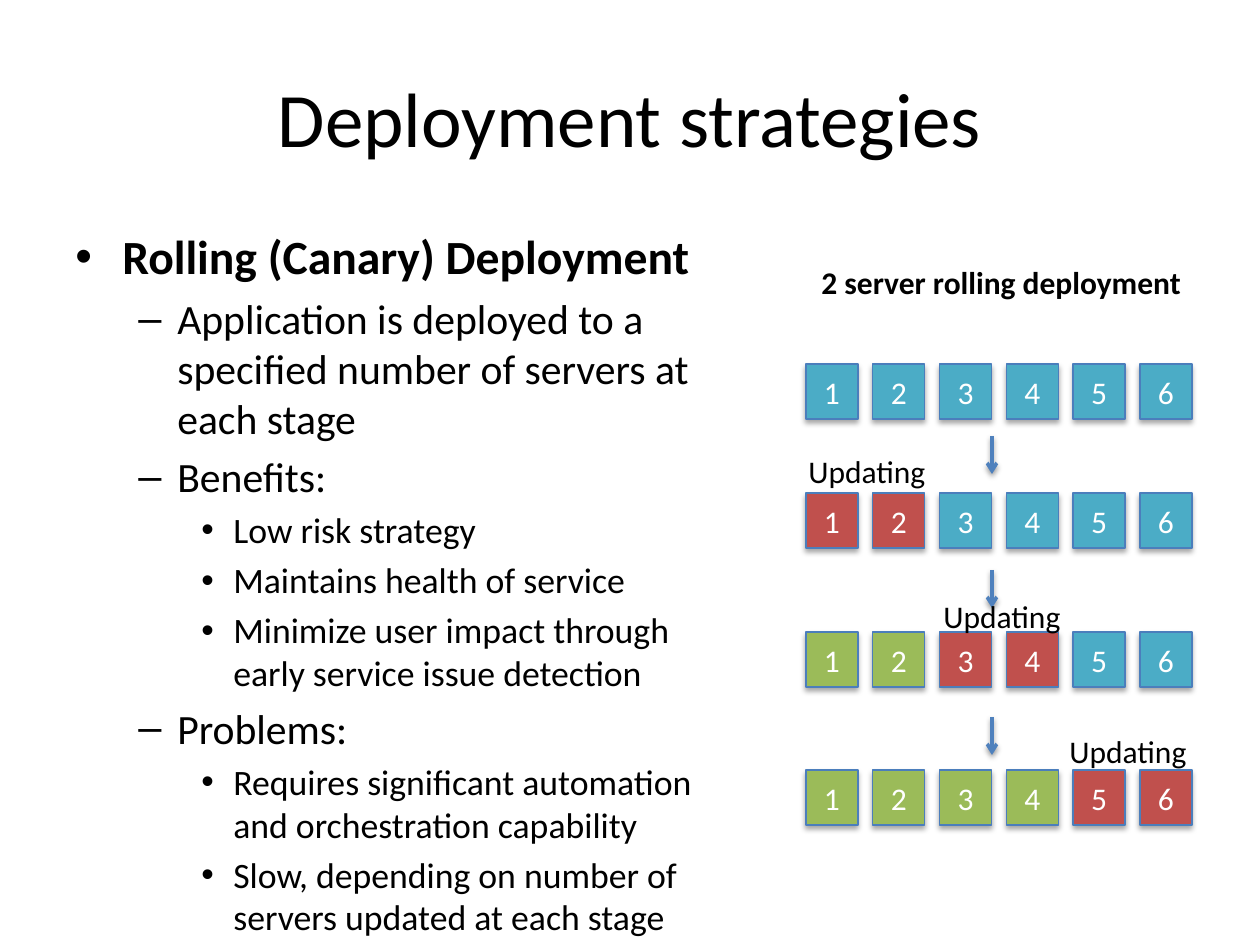
from lxml import etree
from pptx import Presentation
from pptx.dml.color import RGBColor
from pptx.enum.shapes import MSO_CONNECTOR, MSO_SHAPE
from pptx.enum.text import MSO_ANCHOR, PP_ALIGN
from pptx.oxml.ns import qn
from pptx.util import Pt

RECTANGLE = MSO_SHAPE.RECTANGLE
STRAIGHT = MSO_CONNECTOR.STRAIGHT
TOP, MIDDLE = MSO_ANCHOR.TOP, MSO_ANCHOR.MIDDLE
LEFT, CENTER = PP_ALIGN.LEFT, PP_ALIGN.CENTER

PX = 914400 / 126
FONT = "Calibri"
COLORS = {
    "text": "000000",
    "server_text": "FFFFFF",
    "old": "4BACC6",
    "updating": "C0504D",
    "new": "9BBB59",
    "border": "4B7EBC",
    "arrow": "4F81BD",
}

TITLE = "Deployment strategies"
HEADING = "2 server rolling deployment"
BULLETS = [
    (0, "Rolling (Canary) Deployment"),
    (1, "Application is deployed to a specified number of servers at each stage"),
    (1, "Benefits:"),
    (2, "Low risk strategy"),
    (2, "Maintains health of service"),
    (2, "Minimize user impact through early service issue detection"),
    (1, "Problems:"),
    (2, "Requires significant automation and orchestration capability"),
    (2, "Slow, depending on number of servers updated at each stage"),
]
LEVELS = [
    {"size": 27.2, "bold": True, "mark": "•", "margin": 47, "hang": 47},
    {"size": 23.8, "bold": False, "mark": "–", "margin": 102, "hang": 39},
    {"size": 20.4, "bold": False, "mark": "•", "margin": 158, "hang": 32},
]

SERVERS, BATCH = 6, 2
SERVER_LEFT, SERVER_PITCH = 806, 66.8
SERVER_WIDTH, SERVER_HEIGHT = 52, 55
STAGE_TOPS = [364, 493, 632, 770]
ARROW_X, ARROW_LENGTH = 992, 38
ARROW_TOPS = [436, 570, 717]
UPDATING_LABELS = [(796, 446), (931, 591), (1057, 726)]


def emu(*lengths):
    return [round(length * PX) for length in lengths]


def color(name):
    return RGBColor.from_string(COLORS[name])


def add_child(parent, tag, **values):
    child = etree.SubElement(parent, qn(tag))
    for name, value in values.items():
        child.set(name, str(value))
    return child


def add_shadow(effects, distance, alpha):
    shadow = add_child(effects, "a:outerShdw", blurRad=Pt(3.1), dist=Pt(distance),
                       dir=5400000, rotWithShape=0)
    black = add_child(shadow, "a:srgbClr", val="000000")
    add_child(black, "a:alpha", val=alpha * 1000)


def write(para, text, size, bold=False, name="text", align=LEFT):
    para.alignment = align
    span = para.add_run()
    span.text = text
    formats = {"name": FONT, "size": Pt(size), "bold": bold}
    for attribute, value in formats.items():
        setattr(span.font, attribute, value)
    span.font.color.rgb = color(name)


def add_text_box(page, bounds, wrap, anchor=TOP):
    frame = page.shapes.add_textbox(*emu(*bounds)).text_frame
    frame.word_wrap = wrap
    frame.vertical_anchor = anchor
    return frame


def add_bullets(page):
    frame = add_text_box(page, (63, 221, 696, 663), True)
    for index, (level, text) in enumerate(BULLETS):
        para = frame.add_paragraph() if index else frame.paragraphs[0]
        style = LEVELS[level]
        write(para, text, style["size"], style["bold"])
        para.level = level
        para.space_before = Pt(round(style["size"] * 0.2, 1))
        margin, hang = emu(style["margin"], style["hang"])
        properties = para._p.get_or_add_pPr()
        properties.set("marL", str(margin))
        properties.set("indent", str(-hang))
        add_child(properties, "a:buFont", typeface="Arial")
        add_child(properties, "a:buChar", char=style["mark"])


def add_server(page, stage, index):
    left = SERVER_LEFT + index * SERVER_PITCH
    box = page.shapes.add_shape(
        RECTANGLE, *emu(left, STAGE_TOPS[stage], SERVER_WIDTH, SERVER_HEIGHT))
    batch = index // BATCH + 1
    state = "new" if batch < stage else "updating" if batch == stage else "old"
    box.fill.solid()
    box.fill.fore_color.rgb = color(state)
    box.line.color.rgb = color("border")
    box.line.width = Pt(0.75)
    box.shadow.inherit = False
    add_shadow(box._element.spPr.find(qn("a:effectLst")), 1.8, 35)
    box.text_frame.vertical_anchor = MIDDLE
    write(box.text_frame.paragraphs[0], str(index + 1), 18,
          name="server_text", align=CENTER)


def add_arrow(page, top):
    arrow = page.shapes.add_connector(
        STRAIGHT, *emu(ARROW_X, top, ARROW_X, top + ARROW_LENGTH))
    arrow.line.color.rgb = color("arrow")
    arrow.line.width = Pt(2)
    properties = arrow._element.spPr
    add_child(properties.find(qn("a:ln")), "a:tailEnd", type="arrow")
    add_shadow(add_child(properties, "a:effectLst"), 1.6, 38)


def main():
    deck = Presentation()
    deck.slide_width, deck.slide_height = emu(1260, 945)
    page = deck.slides.add_slide(deck.slide_layouts[6])

    title = add_text_box(page, (63, 38, 1134, 158), True, MIDDLE)
    write(title.paragraphs[0], TITLE, 44, align=CENTER)
    add_bullets(page)

    for stage in range(len(STAGE_TOPS)):
        for index in range(SERVERS):
            add_server(page, stage, index)
    heading = add_text_box(page, (809, 257, 389, 50), False)
    write(heading.paragraphs[0], HEADING, 18, bold=True)
    for top in ARROW_TOPS:
        add_arrow(page, top)
    for left, top in UPDATING_LABELS:
        label = add_text_box(page, (left, top, 144, 50), False)
        write(label.paragraphs[0], "Updating", 18)

    deck.save("out.pptx")


if __name__ == "__main__":
    main()
